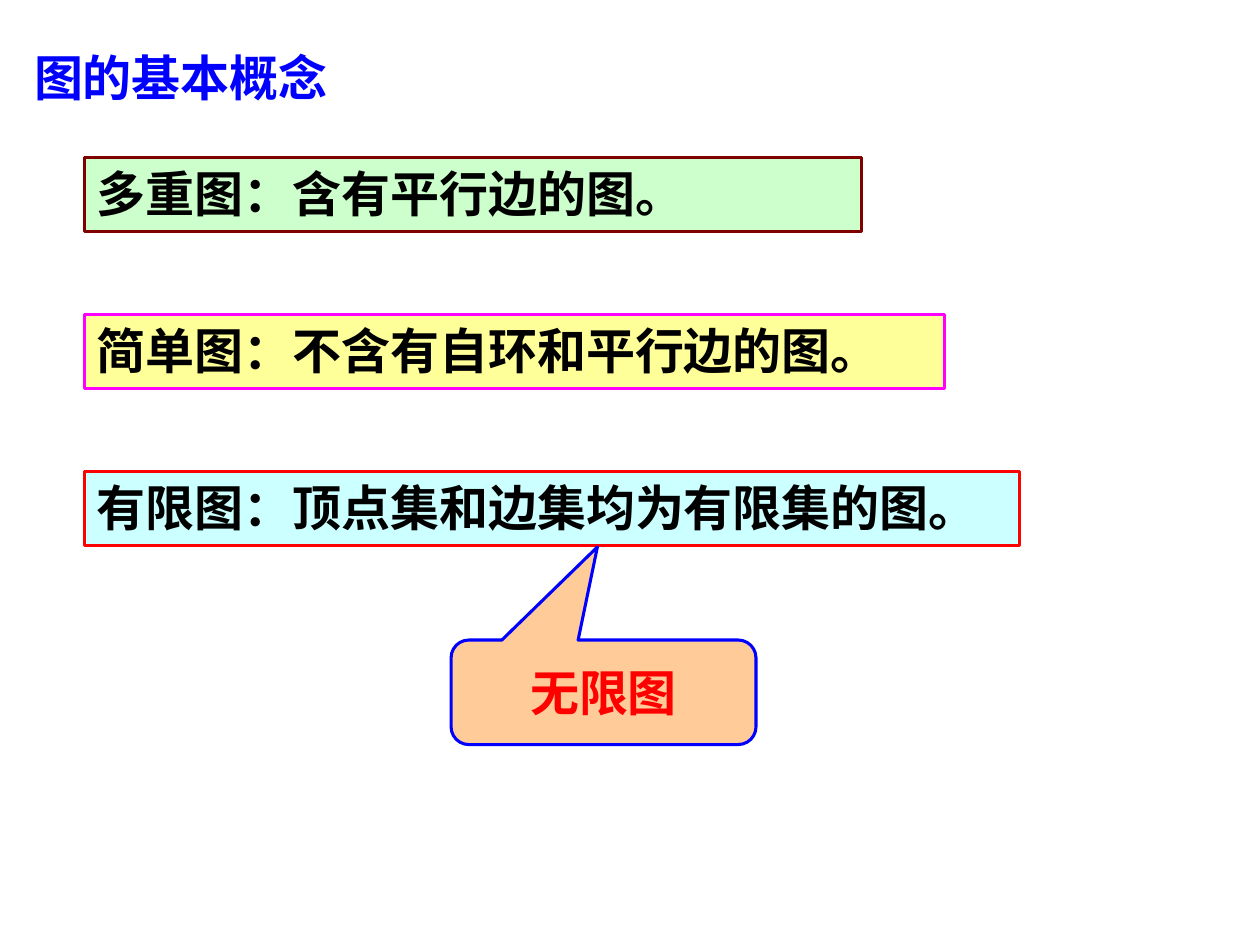
"""Build a slide of basic graph concepts with three definitions and a callout."""
from pptx import Presentation
from pptx.dml.color import RGBColor
from pptx.enum.shapes import MSO_SHAPE
from pptx.enum.text import MSO_ANCHOR, MSO_AUTO_SIZE, PP_ALIGN
from pptx.util import Inches, Pt

COLORS = {
    "black": "000000", "blue": "0000FF", "red": "FF0000", "maroon": "800000",
    "magenta": "FF00FF", "green": "CCFFCC", "yellow": "FFFF99",
    "cyan": "CCFFFF", "orange": "FFCC99",
}
TITLE = "图的基本概念"
DEFINITIONS = [
    ("多重图：含有平行边的图。", 6.17, "green", "maroon"),
    ("简单图：不含有自环和平行边的图。", 6.83, "yellow", "magenta"),
    ("有限图：顶点集和边集均为有限集的图。", 7.42, "cyan", "red"),
]
CALLOUT = "无限图"
CALLOUT_ADJUSTMENTS = (-0.02, -1.39, 0.17)
LEFT, TOP, STEP, HEIGHT = 0.67, 1.25, 1.245, 0.59


def color(name):
    return RGBColor.from_string(COLORS[name])


def write(box, text, ink, align=PP_ALIGN.LEFT, anchor=MSO_ANCHOR.TOP):
    frame = box.text_frame
    frame.word_wrap = True
    frame.vertical_anchor = anchor
    paragraph = frame.paragraphs[0]
    paragraph.text = text
    paragraph.alignment = align
    font = paragraph.font
    font.name, font.size, font.bold = "Times New Roman", Pt(28), True
    font.color.rgb = color(ink)
    return frame


def add_box(page, kind, place, fill, line):
    box = page.shapes.add_shape(kind, *map(Inches, place))
    box.shadow.inherit = False
    box.fill.solid()
    box.fill.fore_color.rgb = color(fill)
    box.line.color.rgb = color(line)
    box.line.width = Pt(1.75)
    return box


def main():
    deck = Presentation()
    deck.slide_width, deck.slide_height = Inches(10), Inches(7.5)
    page = deck.slides.add_slide(deck.slide_layouts[6])

    title = page.shapes.add_textbox(*map(Inches, (0.07, 0.33, 3.52, 0.57)))
    write(title, TITLE, "blue").margin_left = Inches(0.2)

    for row, (text, width, fill, line) in enumerate(DEFINITIONS):
        place = (LEFT, TOP + row * STEP, width, HEIGHT)
        box = add_box(page, MSO_SHAPE.RECTANGLE, place, fill, line)
        write(box, text, "black").auto_size = MSO_AUTO_SIZE.SHAPE_TO_FIT_TEXT

    callout = add_box(page, MSO_SHAPE.ROUNDED_RECTANGULAR_CALLOUT,
                      (3.58, 5.08, 2.42, 0.83), "orange", "blue")
    for index, value in enumerate(CALLOUT_ADJUSTMENTS):
        callout.adjustments[index] = value
    write(callout, CALLOUT, "red", PP_ALIGN.CENTER, MSO_ANCHOR.MIDDLE)

    deck.save("out.pptx")


if __name__ == "__main__":
    main()
